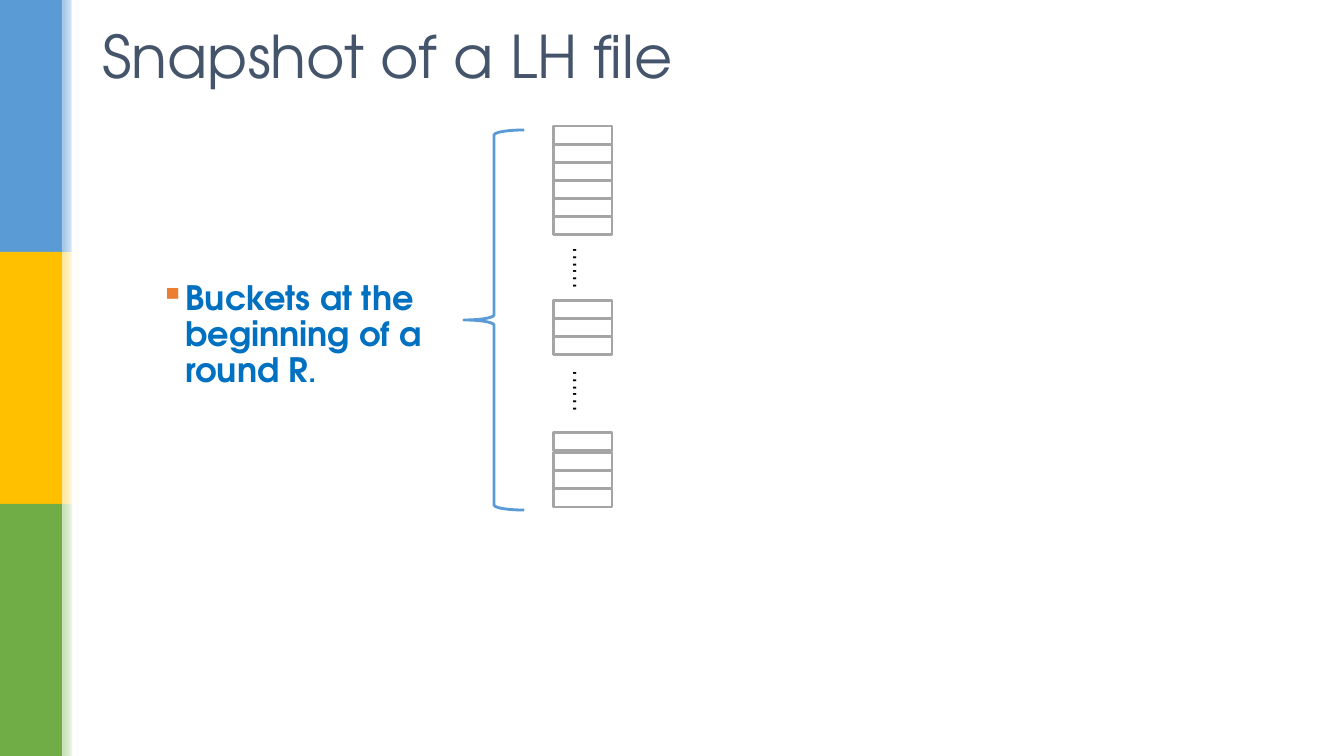
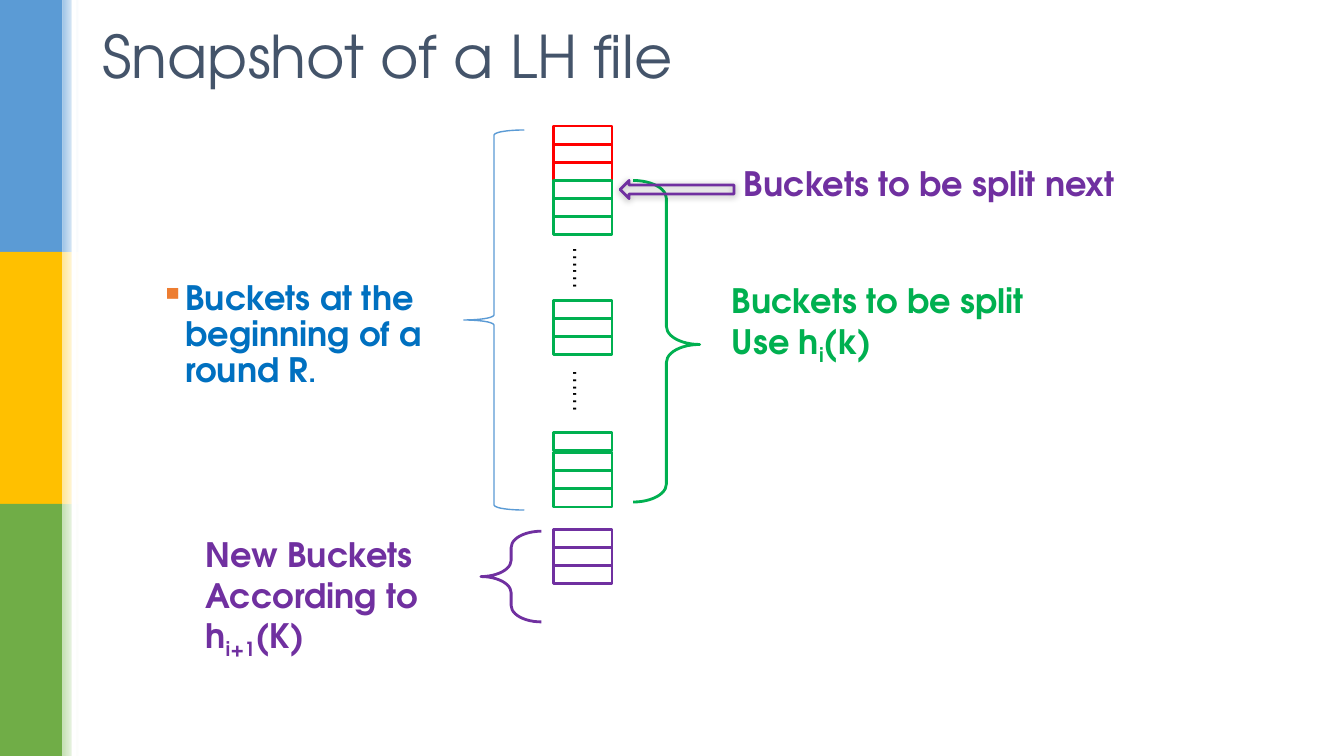
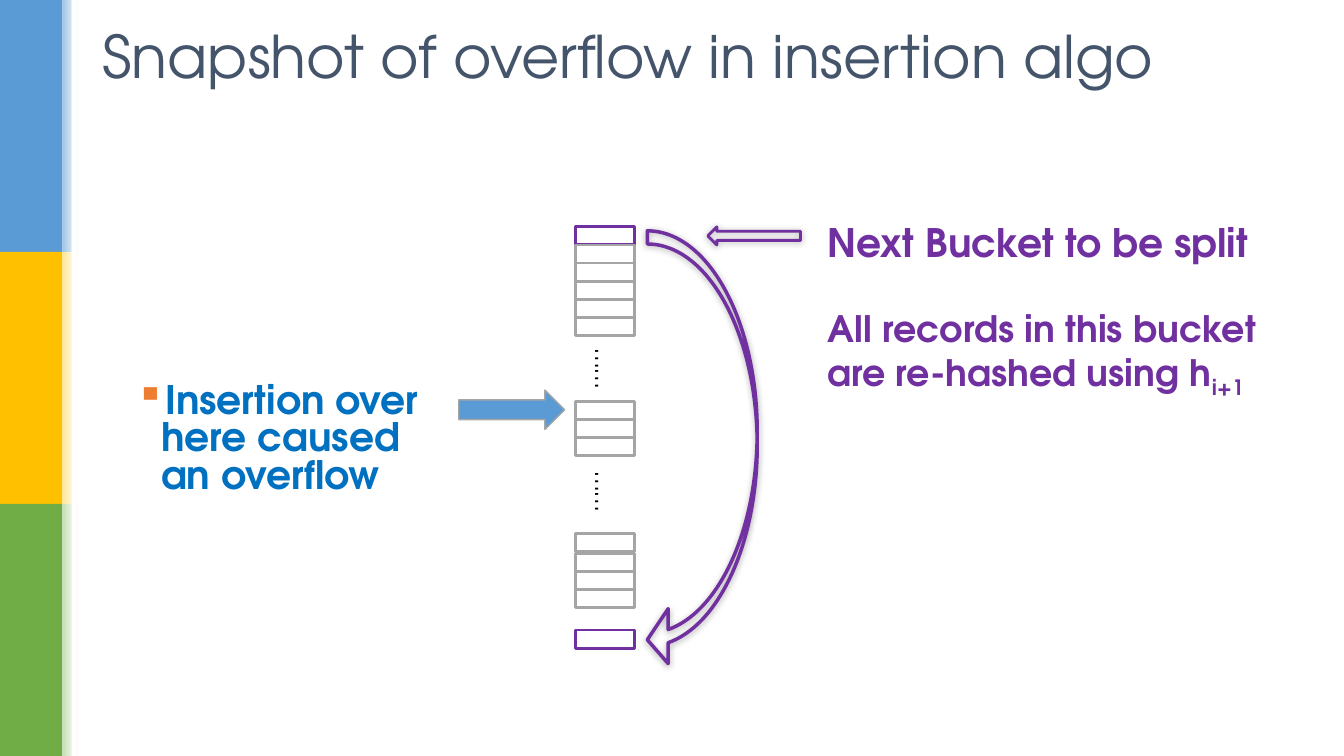
from pptx import Presentation
from pptx.dml.color import RGBColor
from pptx.enum.shapes import MSO_SHAPE
from pptx.enum.text import MSO_ANCHOR, PP_ALIGN
from pptx.oxml import parse_xml
from pptx.oxml.ns import nsdecls, qn
from pptx.util import Inches, Pt

RECTANGLE = MSO_SHAPE.RECTANGLE
LEFT_BRACE, RIGHT_BRACE = MSO_SHAPE.LEFT_BRACE, MSO_SHAPE.RIGHT_BRACE
LEFT_ARROW, RIGHT_ARROW = MSO_SHAPE.LEFT_ARROW, MSO_SHAPE.RIGHT_ARROW
CURVED_ARROW = MSO_SHAPE.CURVED_LEFT_ARROW
MIDDLE, CENTER = MSO_ANCHOR.MIDDLE, PP_ALIGN.CENTER

FONT = "TeX Gyre Adventor"
WHITE, BLACK, SLATE, GRAY = "FFFFFF", "000000", "44546A", "A5A5A5"
BLUE, TEXT_BLUE, ORANGE = "5B9BD5", "0070C0", "ED7D31"
RED, GREEN, PURPLE = "FF0000", "00B050", "7030A0"
BANDS = [(BLUE, "9DC3E6"), ("FFC000", "FFE699"), ("70AD47", "C5E0B4")]
BAND_HEIGHT = 2.5

# Runs of buckets as (offset from the stack top, count); the last run is new
BUCKET_WIDTH, BUCKET_HEIGHT = 0.58, 0.18
BUCKET_RUNS = [(0, 6), (1.73, 3), (3.04, 1), (3.24, 3), (4, 3)]
BUCKET_OFFSETS = [start + row * BUCKET_HEIGHT
                  for start, count in BUCKET_RUNS for row in range(count)]
DOT_OFFSETS = [1.25, 2.47]

SHADOW = (f'<a:outerShdw {nsdecls("a")} blurRad="63500" dist="12700" dir="5400000">'
          '<a:srgbClr val="000000"><a:alpha val="32000"/></a:srgbClr></a:outerShdw>')


def add_figure(page, kind, place, fill=None, line=None, weight=2, adjust=(), shadow=False):
    figure = page.shapes.add_shape(kind, *map(Inches, place))
    figure.shadow.inherit = False
    if shadow:
        figure._element.spPr.find(qn("a:effectLst")).append(parse_xml(SHADOW))
    if fill:
        figure.fill.solid()
        figure.fill.fore_color.rgb = RGBColor.from_string(fill)
    else:
        figure.fill.background()
    if line:
        figure.line.color.rgb = RGBColor.from_string(line)
        figure.line.width = Pt(weight)
    else:
        figure.line.fill.background()
    for index, value in enumerate(adjust):
        figure.adjustments[index] = value
    return figure


def add_text(page, place, lines, size, color, bold=True, bullet=False, **layout):
    """Write lines of text; the parts between underscores are subscripts."""
    box = page.shapes.add_textbox(*map(Inches, place))
    frame = box.text_frame
    frame.word_wrap = True
    frame.vertical_anchor = layout.pop("anchor", None)
    box.rotation = layout.pop("rotation", 0)
    for index, line in enumerate(lines):
        para = frame.add_paragraph() if index else frame.paragraphs[0]
        for name, value in layout.items():
            setattr(para, name, value)
        if bullet:
            props = para._p.get_or_add_pPr()
            props.set("marL", str(Inches(0.25)))
            props.set("indent", str(Inches(-0.25)))
            props.append(parse_xml(f'<a:buClr {nsdecls("a")}><a:srgbClr val="{ORANGE}"/></a:buClr>'))
            props.append(parse_xml(f'<a:buChar {nsdecls("a")} char="▪"/>'))
        for part, words in enumerate(line.split("_")):
            span = para.add_run()
            span.text = words
            for name, value in {"name": FONT, "size": Pt(size), "bold": bold}.items():
                setattr(span.font, name, value)
            span.font.color.rgb = RGBColor.from_string(color)
            if part % 2:
                span.font._element.set("baseline", "-25000")
    return box


deck = Presentation()
deck.slide_width, deck.slide_height = Inches(13.33), Inches(7.5)

# Shared parts: side bands, title, bucket stack with dotted gaps
pages = []
for title, stack_left, stack_top, bucket_colors in [
    ("Snapshot of a LH file", 5.49, 1.25, [GRAY] * 13),
    ("Snapshot of a LH file", 5.49, 1.25, [RED] * 3 + [GREEN] * 10 + [PURPLE] * 3),
    ("Snapshot of overflow in insertion algo", 5.71, 2.25, [PURPLE] + [GRAY] * 12 + [PURPLE]),
]:
    page = deck.slides.add_slide(deck.slide_layouts[6])
    pages.append(page)
    for index, (color, tint) in enumerate(BANDS):
        band_top = index * BAND_HEIGHT
        add_figure(page, RECTANGLE, (0, band_top, 0.62, BAND_HEIGHT), fill=color)
        fade = add_figure(page, RECTANGLE, (0.62, band_top, 0.16, BAND_HEIGHT))
        fade.fill.gradient()
        fade.fill.gradient_angle = 0
        for stop, stop_color, position in zip(fade.fill.gradient_stops, (tint, WHITE), (0, 1)):
            stop.color.rgb = RGBColor.from_string(stop_color)
            stop.position = position
    add_figure(page, RECTANGLE, (0.71, 0, 0.05, 7.5), fill=WHITE)
    add_text(page, (0.92, 0.12, 11.5, 0.86), [title], 42, SLATE, bold=False, anchor=MIDDLE)
    for offset, color in zip(BUCKET_OFFSETS, bucket_colors):
        add_figure(page, RECTANGLE,
                   (stack_left, stack_top + offset, BUCKET_WIDTH, BUCKET_HEIGHT), line=color)
    for offset in DOT_OFFSETS:
        add_text(page, (stack_left - 0.2, stack_top + offset, 0.99, 0.32), ["……"], 18, BLACK,
                 bold=False, anchor=MIDDLE, rotation=90, alignment=CENTER)

start_page, split_page, overflow_page = pages

# Buckets at the beginning of a round
for page, weight in [(start_page, 2), (split_page, 1)]:
    add_figure(page, LEFT_BRACE, (4.6, 1.29, 0.6, 3.77), line=BLUE, weight=weight)
    box = add_text(page, (1.49, 2.74, 3.1, 1.24), ["Buckets at the beginning of a round R_._"],
                   24, TEXT_BLUE, bullet=True, line_spacing=0.9)
    period = box.text_frame.paragraphs[0].runs[1]
    period.font.size = Pt(20)
    period.font._element.set("baseline", "0")

# Buckets during the round
add_figure(split_page, RIGHT_BRACE, (6.28, 1.79, 0.66, 3.19), line=GREEN, adjust=(0.27, 0.51))
add_figure(split_page, LEFT_BRACE, (4.77, 5.27, 0.6, 0.9), line=PURPLE, adjust=(0.27, 0.5))
add_figure(split_page, LEFT_ARROW, (6.15, 1.79, 1.13, 0.18), line=PURPLE, shadow=True)
add_text(split_page, (7.16, 2.73, 3.13, 0.91), ["Buckets to be split", "Use h_i_(k)"], 24, GREEN)
add_text(split_page, (1.94, 5.25, 3.13, 1.31),
         ["New Buckets", "According to h_i+1_(K)"], 24, PURPLE)
add_text(split_page, (7.28, 1.57, 4.26, 0.5), ["Buckets to be split next"], 24, PURPLE)

# Overflow during insertion
add_figure(overflow_page, LEFT_ARROW, (7.02, 2.25, 0.92, 0.18), line=PURPLE, shadow=True)
add_figure(overflow_page, CURVED_ARROW, (6.42, 2.29, 1.09, 4.33), line=PURPLE, weight=2.5,
           adjust=(0.12, 0.5, 0.19), shadow=True)
add_figure(overflow_page, RIGHT_ARROW, (4.55, 3.87, 1.05, 0.39), fill=BLUE, line=GRAY, weight=1)
add_text(overflow_page, (1.25, 3.76, 3.1, 1.22), ["Insertion over here caused an overflow"],
         28, TEXT_BLUE, bullet=True, line_spacing=0.8)
add_text(overflow_page, (8.11, 2.12, 4.45, 0.57), ["Next Bucket to be split"], 28, PURPLE)
add_text(overflow_page, (8.11, 3.04, 4.96, 1.03),
         ["All records in this bucket are re-hashed using h_i+1_"], 26, PURPLE, line_spacing=0.9)

deck.save("out.pptx")
